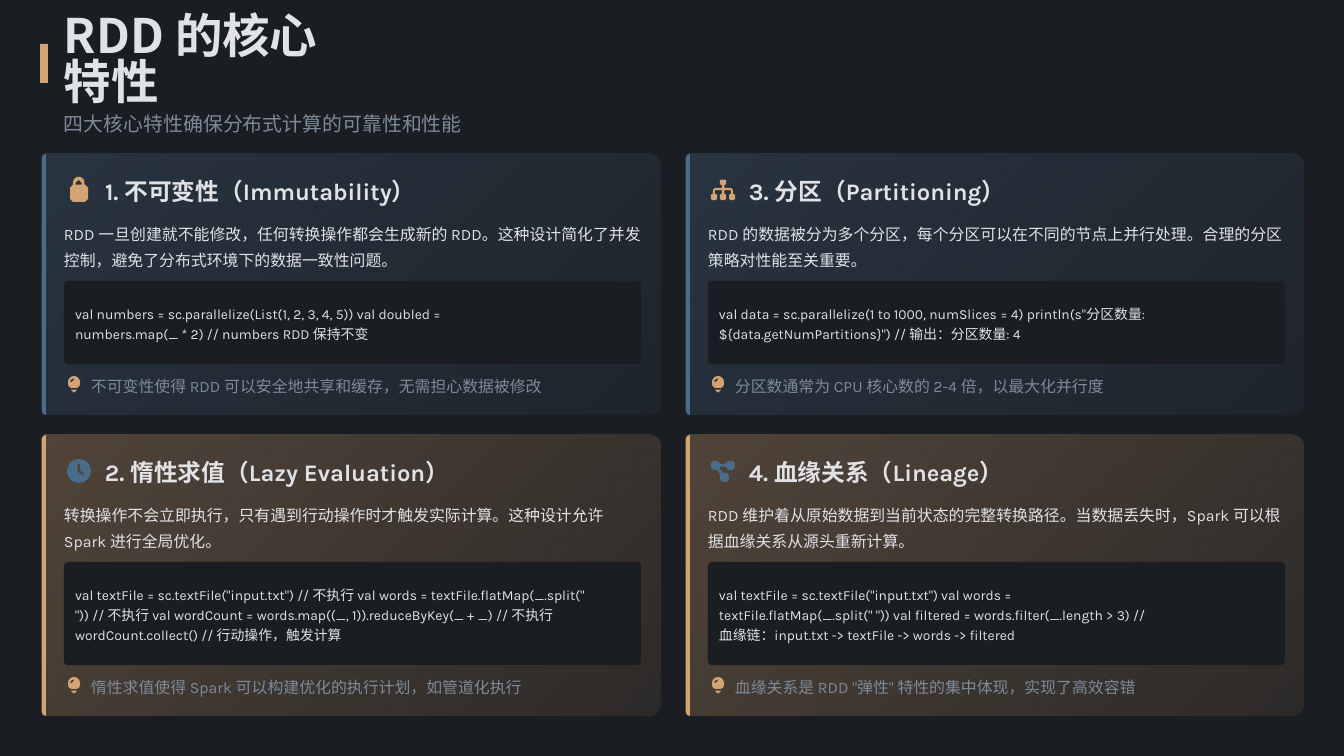
"""Build the slide on the four core properties of an RDD."""
from math import cos, pi, sin

from lxml import etree
from pptx import Presentation
from pptx.dml.color import RGBColor
from pptx.enum.shapes import MSO_SHAPE
from pptx.enum.text import MSO_ANCHOR
from pptx.oxml.ns import qn
from pptx.util import Pt

PX = 914400 / 75.6
UNITS = 10
RECT, ROUND_RECT = MSO_SHAPE.RECTANGLE, MSO_SHAPE.ROUNDED_RECTANGLE
MIDDLE = MSO_ANCHOR.MIDDLE
COLORS = {"ground": "1A1D21", "sand": "D4A373", "blue": "4A6B8A",
          "text": "E0E2E6", "muted": "7D8A99"}
STYLES = {
    "title": {"size": 45.2, "name": "Noto Sans CJK SC", "color": "text", "bold": True, "spacing": 0.8},
    "subtitle": {"size": 18.9, "name": "Karla", "color": "muted", "bold": False, "spacing": 1.2},
    "heading": {"size": 22.6, "name": "Karla", "color": "text", "bold": True, "spacing": 1.1},
    "body": {"size": 15.1, "name": "Karla", "color": "text", "bold": False, "spacing": 1.4},
    "code": {"size": 13.2, "name": "Karla", "color": "text", "bold": False, "spacing": 1.2},
    "note": {"size": 15.1, "name": "Karla", "color": "muted", "bold": False, "spacing": 1.3},
}
TITLE = "RDD 的核心特性"
SUBTITLE = "四大核心特性确保分布式计算的可靠性和性能"
PROPERTIES = [
    {"cell": (0, 0), "icon": "lock", "heading": "1. 不可变性（Immutability）", "widths": (311, 416),
     "body": "RDD 一旦创建就不能修改，任何转换操作都会生成新的 RDD。这种设计简化了并发控制，避免了分布式环境下的数据一致性问题。",
     "code": "val numbers = sc.parallelize(List(1, 2, 3, 4, 5)) val doubled = numbers.map(_ * 2) // numbers RDD 保持不变",
     "note": "不可变性使得 RDD 可以安全地共享和缓存，无需担心数据被修改"},
    {"cell": (0, 1), "icon": "clock", "heading": "2. 惰性求值（Lazy Evaluation）", "widths": (349, 524),
     "body": "转换操作不会立即执行，只有遇到行动操作时才触发实际计算。这种设计允许 Spark 进行全局优化。",
     "code": 'val textFile = sc.textFile("input.txt") // 不执行 val words = textFile.flatMap(_.split(" ")) // 不执行 '
             "val wordCount = words.map((_, 1)).reduceByKey(_ + _) // 不执行 wordCount.collect() // 行动操作，触发计算",
     "note": "惰性求值使得 Spark 可以构建优化的执行计划，如管道化执行"},
    {"cell": (1, 0), "icon": "tree", "heading": "3. 分区（Partitioning）", "widths": (259, 432),
     "body": "RDD 的数据被分为多个分区，每个分区可以在不同的节点上并行处理。合理的分区策略对性能至关重要。",
     "code": 'val data = sc.parallelize(1 to 1000, numSlices = 4) println(s"分区数量: ${data.getNumPartitions}") // 输出：分区数量: 4',
     "note": "分区数通常为 CPU 核心数的 2-4 倍，以最大化并行度"},
    {"cell": (1, 1), "icon": "graph", "heading": "4. 血缘关系（Lineage）", "widths": (267, 438),
     "body": "RDD 维护着从原始数据到当前状态的完整转换路径。当数据丢失时，Spark 可以根据血缘关系从源头重新计算。",
     "code": 'val textFile = sc.textFile("input.txt") val words = textFile.flatMap(_.split(" ")) '
             "val filtered = words.filter(_.length > 3) // 血缘链：input.txt -> textFile -> words -> filtered",
     "note": '血缘关系是 RDD "弹性" 特性的集中体现，实现了高效容错'},
]
ROWS = [{"top": 154, "code_height": 83, "tint": "blue", "icon_color": "sand"},
        {"top": 435, "code_height": 103, "tint": "sand", "icon_color": "blue"}]
CARD_LEFT, CARD_STEP, CARD_WIDTH = 42, 644, 618
CODE_TOP, CODE_WIDTH, BELOW_CODE = 127, 577, 51


def rounded(x, y, w, h, radii):
    """Return the outline of a box with corner radii from top left, clockwise."""
    corners = [(x, y, 1, 1), (x + w, y, -1, 1), (x + w, y + h, -1, -1), (x, y + h, 1, -1)]
    points = []
    for turn, ((cx, cy, dx, dy), r) in enumerate(zip(corners, radii)):
        steps = 4 if r >= 50 else 2 if r > 30 else 1
        for step in range(steps + 1 if r else 1):
            angle = pi + (turn + step / steps) * pi / 2
            points.append((cx + r * (dx + cos(angle)), cy + r * (dy + sin(angle))) if r else (cx, cy))
    return points


ICONS = {
    "lock": [rounded(30, 68, 180, 170, (30,) * 4), rounded(60, -12, 114, 80, (57, 57, 0, 0)),
             rounded(87, 18, 60, 50, (30, 30, 0, 0))],
    "clock": [rounded(0, 0, 240, 240, (120,) * 4),
              [(106, 50), (130, 50), (130, 114), (172, 144), (158, 164), (106, 128)]],
    "tree": [rounded(x, y, 61, h, (12,) * 4)
             for x, y, h in [(90, 15, 55), (0, 158, 62), (90, 158, 62), (181, 158, 62)]]
            + [[(108, 70), (133, 70), (133, 98), (200, 98), (220, 118), (220, 158),
                (200, 158), (200, 122), (133, 122), (133, 158), (108, 158), (108, 122),
                (40, 122), (40, 158), (20, 158), (20, 118), (40, 98), (108, 98)]],
    "graph": [rounded(x, y, 90, 90, (22,) * 4) for x, y in [(0, 18), (150, 18), (90, 138)]]
             + [[(90, 48), (150, 48), (150, 76), (90, 76)],
                [(62, 108), (88, 96), (122, 138), (90, 154)]],
    "bulb": [rounded(0, 0, 120, 120, (60, 60, 36, 36)), rounded(30, 136, 60, 27, (0, 0, 25, 25)),
             [(22, 60), (28, 38), (60, 23), (60, 37), (36, 60)]],
}


def px(*lengths):
    return [round(length * PX) for length in lengths]


def rgb(color):
    return RGBColor.from_string(COLORS[color])


def paint(shape, color):
    shape.shadow.inherit = False
    shape.line.fill.background()
    shape.fill.solid()
    shape.fill.fore_color.rgb = rgb(color)


def fade(shape, color):
    shape.fill.gradient()
    shape.fill.gradient_angle = 315
    for stop, position, alpha in zip(shape.fill.gradient_stops, (0, 1), (30000, 10000)):
        stop.position = position
        stop.color.rgb = rgb(color)
        tint = shape._element.spPr.findall(".//" + qn("a:srgbClr"))[position]
        etree.SubElement(tint, qn("a:alpha")).set("val", str(alpha))


def add_outline(shapes, contours, left, top, color):
    builder = shapes.build_freeform(*contours[0][0], scale=PX / UNITS)
    builder.add_line_segments(contours[0][1:], close=True)
    for contour in contours[1:]:
        builder.move_to(*contour[0])
        builder.add_line_segments(contour[1:], close=True)
    shape = builder.convert_to_shape(*px(left, top))
    paint(shape, color)
    return shape


def add_text(shapes, text, style, *box):
    frame = shapes.add_textbox(*px(*box)).text_frame
    settings = {"word_wrap": True, "vertical_anchor": MIDDLE, "margin_left": 0,
                "margin_right": 0, "margin_top": 0, "margin_bottom": 0}
    for key, value in settings.items():
        setattr(frame, key, value)
    look = STYLES[style]
    paragraph = frame.paragraphs[0]
    paragraph.line_spacing = look["spacing"]
    run = paragraph.add_run()
    run.text = text
    for key, value in {"size": Pt(look["size"]), "name": look["name"], "bold": look["bold"]}.items():
        setattr(run.font, key, value)
    run.font.color.rgb = rgb(look["color"])


def add_card(shapes, item):
    column, row = item["cell"]
    band = ROWS[row]
    left, top, code_height = CARD_LEFT + column * CARD_STEP, band["top"], band["code_height"]
    height = CODE_TOP + code_height + BELOW_CODE
    code_top = top + CODE_TOP
    code_bottom = code_top + code_height
    heading_width, code_width = item["widths"]

    panel = rounded(0, 0, CARD_WIDTH * UNITS, height * UNITS, (40, 120, 120, 40))
    fade(add_outline(shapes, [panel], left, top, band["tint"]), band["tint"])
    edge = rounded(0, 0, 4 * UNITS, height * UNITS, (40, 0, 0, 40))
    add_outline(shapes, [edge], left, top, band["tint"])
    add_outline(shapes, ICONS[item["icon"]], left + 25, top + 24, band["icon_color"])
    add_text(shapes, item["heading"], "heading", left + 63, top + 20, heading_width, 32)
    add_text(shapes, item["body"], "body", left + 22, top + 64, 585, 51)
    code_box = shapes.add_shape(ROUND_RECT, *px(left + 22, code_top, CODE_WIDTH, code_height))
    code_box.adjustments[0] = 4 / code_height
    paint(code_box, "ground")
    add_text(shapes, item["code"], "code", left + 33, code_top + 13, code_width, code_height - 27)
    add_outline(shapes, ICONS["bulb"], left + 26, code_bottom + 12, "sand")
    add_text(shapes, item["note"], "note", left + 49, code_bottom + 8, 558, 23)


def main():
    deck = Presentation()
    deck.slide_width, deck.slide_height = px(1344, 756)
    slide = deck.slides.add_slide(deck.slide_layouts[6])
    slide.background.fill.solid()
    slide.background.fill.fore_color.rgb = rgb("ground")
    shapes = slide.shapes
    paint(shapes.add_shape(RECT, *px(40, 44, 8, 39)), "sand")
    add_text(shapes, TITLE, "title", 64, 39, 295, 48)
    add_text(shapes, SUBTITLE, "subtitle", 64, 107, 1251, 28)
    for item in PROPERTIES:
        add_card(shapes, item)
    deck.save("out.pptx")


if __name__ == "__main__":
    main()
